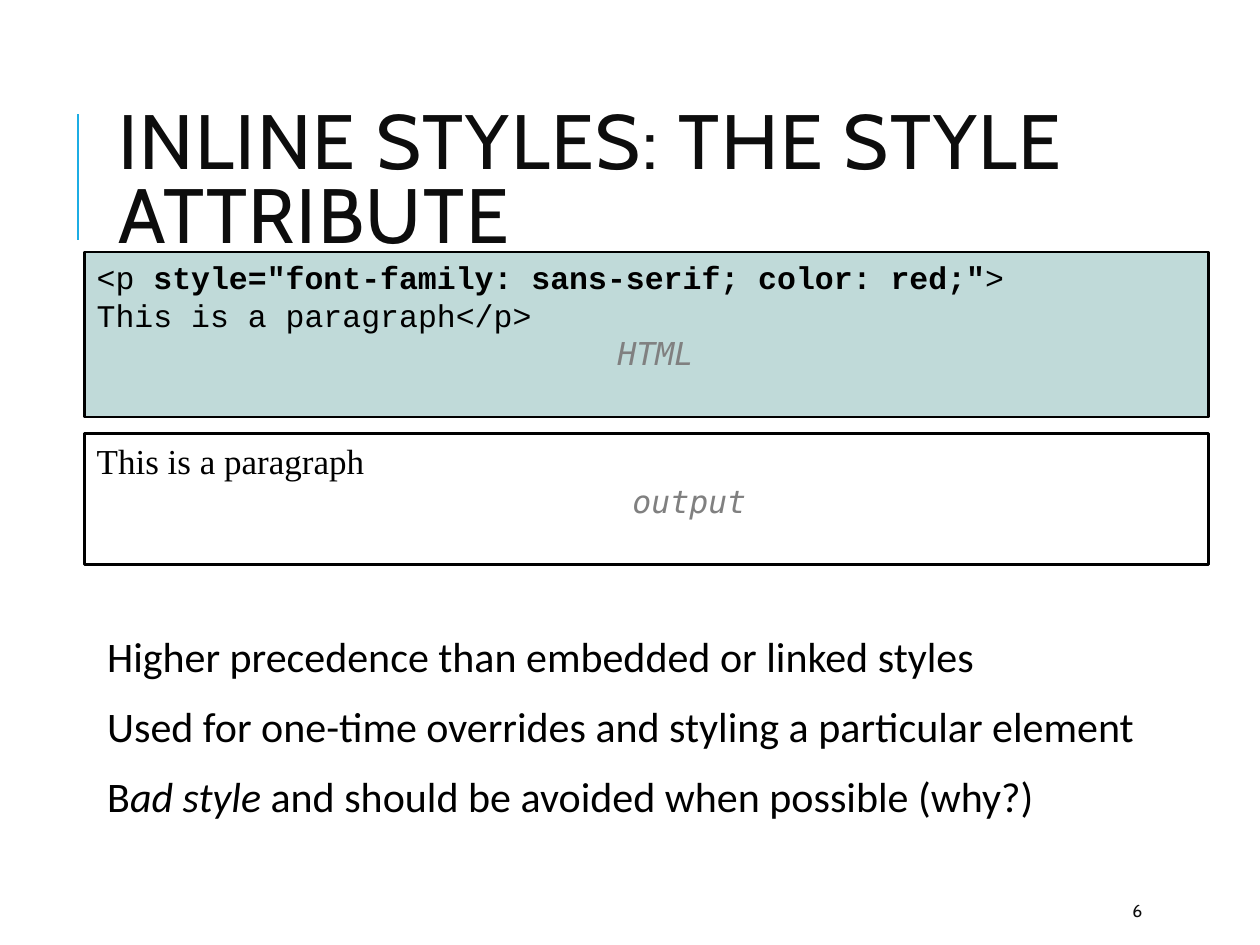
import pptx
import pptx.dml.color
import pptx.enum.shapes
import pptx.enum.text
import pptx.oxml.ns
import pptx.util
from lxml import etree
from pptx.util import Cm, Pt

COLORS = {
    "accent": "1CADE4",
    "heading": "0D0D0D",
    "text": "000000",
    "label": "808080",
    "code_fill": "C0DAD9",
}
ANCHOR = pptx.enum.text.MSO_ANCHOR
LEFT = pptx.enum.text.PP_ALIGN.LEFT


def rgb(name):
    return pptx.dml.color.RGBColor.from_string(COLORS[name])


def add_run(paragraph, text, font, size, color="text", bold=False, italic=False):
    run = paragraph.add_run()
    run.text = text
    run.font.name = font
    run.font.size = Pt(size)
    run.font.color.rgb = rgb(color)
    run.font.bold = bold
    run.font.italic = italic
    return run


def place(shape, box):
    shape.left, shape.top, shape.width, shape.height = (Cm(v) for v in box)


def set_frame(frame, anchor):
    frame.word_wrap = True
    frame.auto_size = pptx.enum.text.MSO_AUTO_SIZE.NONE
    frame.vertical_anchor = anchor


def add_heading(slide, box):
    left, top, width, height = box
    # Accent rule left of the title
    rule_x = Cm(left - 0.56)
    rule = slide.shapes.add_connector(
        pptx.enum.shapes.MSO_CONNECTOR.STRAIGHT,
        rule_x, Cm(top + 3.2), rule_x, Cm(top + 0.66))
    rule.line.color.rgb = rgb("accent")
    rule.line.width = Pt(1.5)
    etree.SubElement(rule._element.spPr, pptx.oxml.ns.qn("a:effectLst"))

    title = slide.shapes.title
    place(title, box)
    set_frame(title.text_frame, ANCHOR.MIDDLE)
    paragraph = title.text_frame.paragraphs[0]
    paragraph.alignment = LEFT
    paragraph.line_spacing = 0.8
    run = add_run(paragraph, "INLINE STYLES: THE STYLE ATTRIBUTE",
                  "Cabin", 44, "heading")
    run._r.get_or_add_rPr().set("spc", "100")


def add_example(slide, box, lines, label, label_indent, fill=None):
    """Framed example: lines of runs, then an indented grey label."""
    panel = slide.shapes.add_shape(
        pptx.enum.shapes.MSO_SHAPE.RECTANGLE, *(Cm(v) for v in box))
    panel.shadow.inherit = False
    if fill:
        panel.fill.solid()
        panel.fill.fore_color.rgb = rgb(fill)
    else:
        panel.fill.background()
    panel.line.color.rgb = rgb("text")
    panel.line.width = Pt(1.5)

    frame = panel.text_frame
    set_frame(frame, ANCHOR.TOP)
    paragraph = frame.paragraphs[0]
    for line in lines:
        paragraph.alignment = LEFT
        for text, font, size, bold in line:
            add_run(paragraph, text, font, size, bold=bold)
        paragraph = frame.add_paragraph()
    paragraph.alignment = LEFT
    paragraph._p.get_or_add_pPr().set("marL", str(Cm(label_indent)))
    add_run(paragraph, label, "DejaVu Sans Mono", 18, "label", italic=True)


def add_points(slide, box, points):
    body = slide.placeholders[1]
    place(body, box)
    frame = body.text_frame
    set_frame(frame, ANCHOR.TOP)
    frame.margin_left = frame.margin_right = Cm(0.13)
    frame.margin_top = frame.margin_bottom = Cm(0.13)
    for index, point in enumerate(points):
        paragraph = frame.add_paragraph() if index else frame.paragraphs[0]
        paragraph.alignment = LEFT
        paragraph.line_spacing = 0.9
        paragraph.space_before = Pt(12)
        paragraph.space_after = Pt(2)
        # Hanging indent with a blank bullet
        properties = paragraph._p.get_or_add_pPr()
        properties.set("marL", str(Cm(0.25)))
        properties.set("indent", str(-Cm(0.25)))
        bullet = etree.SubElement(properties, pptx.oxml.ns.qn("a:buChar"))
        bullet.set("char", " ")
        for text, italic in point:
            add_run(paragraph, text, "Calibri", 24, italic=italic)


def add_page_number(slide, box, number):
    page = slide.shapes.add_textbox(*(Cm(v) for v in box))
    set_frame(page.text_frame, ANCHOR.MIDDLE)
    add_run(page.text_frame.paragraphs[0], number, "Cabin", 10, "heading")


def main():
    deck = pptx.Presentation()
    deck.slide_width, deck.slide_height = Cm(25.4), Cm(19.05)
    slide = deck.slides.add_slide(deck.slide_layouts[1])

    add_heading(slide, (2.13, 1.63, 20.24, 4.17))
    add_points(slide, (1.78, 12.7, 22.66, 4.24), [
        [("Higher precedence than embedded or linked styles", False)],
        [("Used for one-time overrides and styling a particular element", False)],
        [("B", False), ("ad style ", True),
         ("and should be avoided when possible (why?)", False)],
    ])
    add_page_number(slide, (22.58, 17.98, 2.03, 0.76), "6")

    # HTML source and its rendered output
    code = "Courier New"
    add_example(slide, (1.7, 5.08, 22.66, 3.33), [
        [("<p ", code, 18, False),
         ('style="font-family: sans-serif; color: red;"', code, 18, True),
         (">", code, 18, False)],
        [("This is a paragraph</p>", code, 18, False)],
    ], "HTML", 10.5, "code_fill")
    add_example(slide, (1.7, 8.74, 22.66, 2.64), [
        [("This is a paragraph", "Times New Roman", 20, False)],
    ], "output", 10.8)

    deck.save("out.pptx")


if __name__ == "__main__":
    main()
